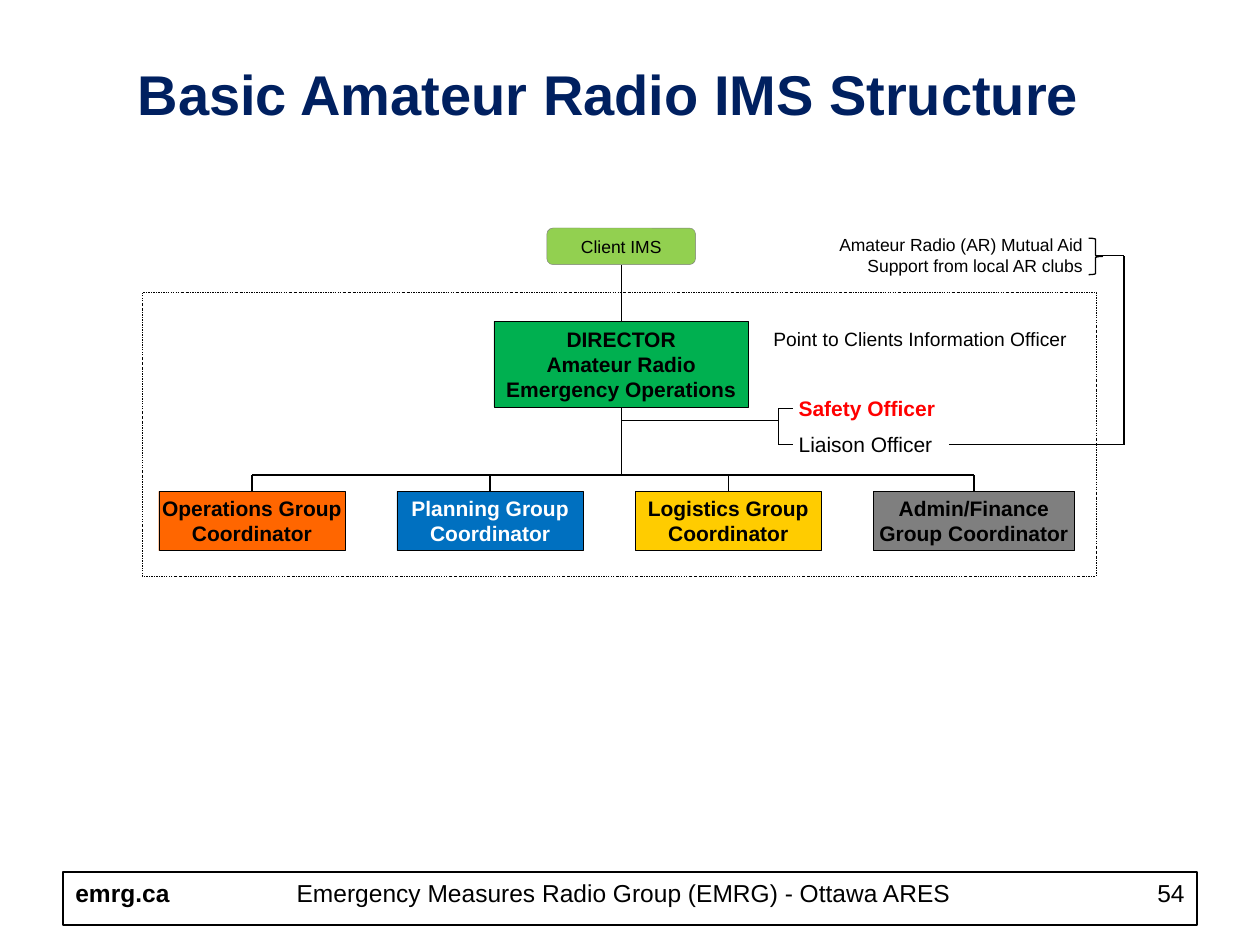
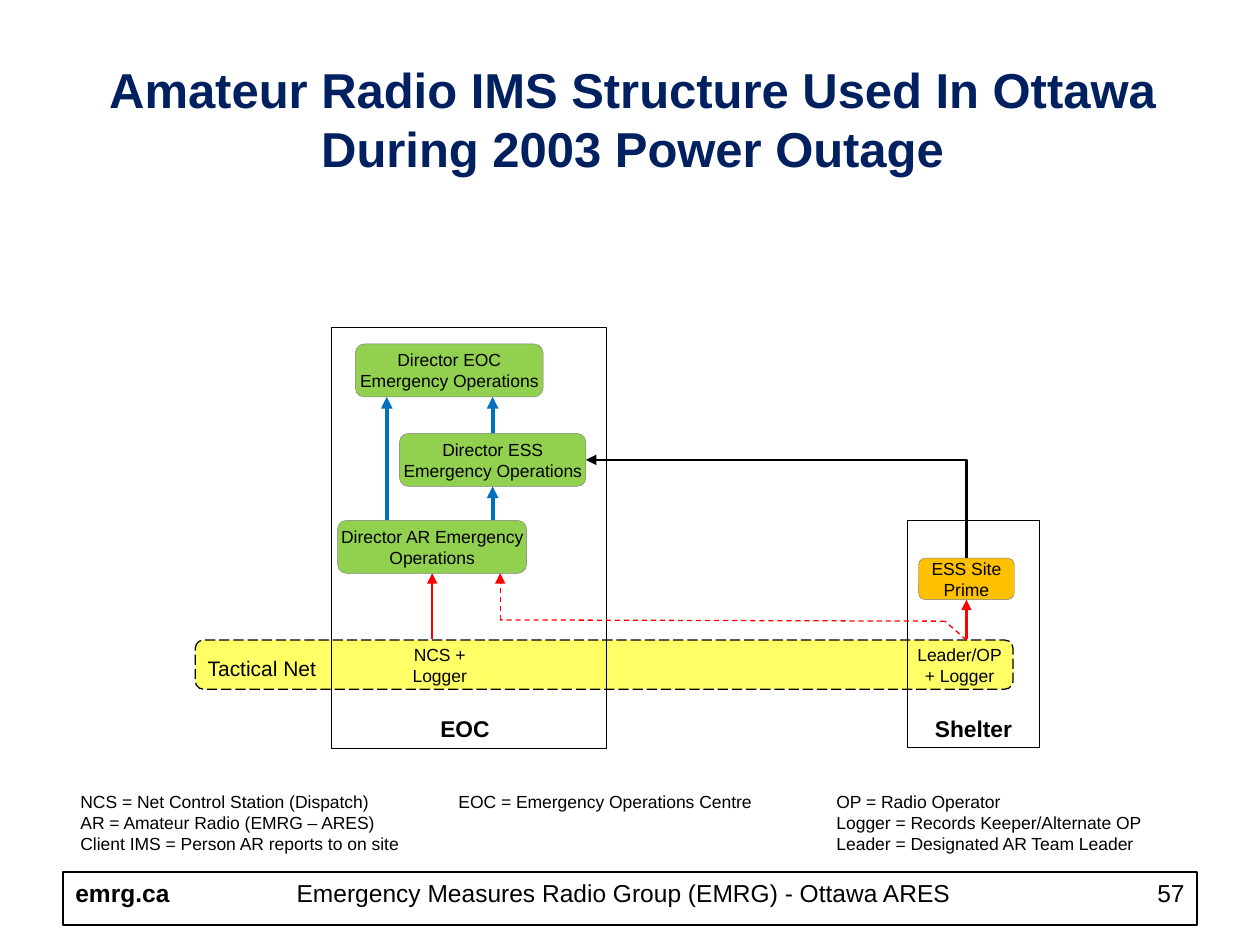
from dataclasses import dataclass

from lxml.etree import SubElement
from pptx import Presentation
from pptx.dml.color import RGBColor as Rgb
from pptx.enum.dml import MSO_LINE as Dash
from pptx.enum.shapes import MSO_CONNECTOR as Link, MSO_SHAPE as Shape
from pptx.enum.text import MSO_ANCHOR as Anchor, MSO_AUTO_SIZE as AutoSize, PP_ALIGN as Align
from pptx.oxml.ns import qn
from pptx.util import Inches, Pt


@dataclass(frozen=True)
class Theme:
    font: str = "Arial"
    black: str = "000000"
    white: str = "FFFFFF"
    navy: str = "002060"
    red: str = "FF0000"
    blue: str = "0070C0"
    grey: str = "7F7F7F"
    orange: str = "FF6600"
    yellow: str = "FFCC00"
    green: str = "00B050"
    lime: str = "92D050"
    amber: str = "FFC000"
    net: str = "FFFF66"
    small: int = 10
    note: int = 11
    body: int = 12
    place: int = 13
    footer: int = 14
    long_title: int = 28
    title: int = 32


theme = Theme()
prs = Presentation()
prs.slide_width, prs.slide_height = Inches(10), Inches(7.5)

# Grid of 100 columns by 75 rows
COL, ROW = prs.slide_width / 100, prs.slide_height / 75


def box(slide, at, lines=(), kind=None, fill=None, edge=theme.black, width=0.25, dash=None,
        size=theme.small, color=theme.black, bold=False, align=Align.CENTER, pad=0.0):
    """Place a shape, or a text box when no kind is given, on the grid."""
    x, y, w, h = at
    place = (round(x * COL), round(y * ROW), round(w * COL), round(h * ROW))
    if kind is None:
        item = slide.shapes.add_textbox(*place)
    else:
        item = slide.shapes.add_shape(kind, *place)
        item.shadow.inherit = False
        item.line.color.rgb = Rgb.from_string(edge)
        item.line.width = Pt(width)
        if dash:
            item.line.dash_style = dash
        if fill:
            item.fill.solid()
            item.fill.fore_color.rgb = Rgb.from_string(fill)
        else:
            item.fill.background()
    frame = item.text_frame
    frame.word_wrap = True
    frame.margin_left = frame.margin_right = Inches(pad)
    frame.margin_top = frame.margin_bottom = Inches(0.05 if kind is None else 0)
    if lines:
        frame.text = "\n".join(lines)
        for paragraph in frame.paragraphs:
            paragraph.alignment = align
            paragraph.font.name = theme.font
            paragraph.font.size = Pt(size)
            paragraph.font.bold = bold
            paragraph.font.color.rgb = Rgb.from_string(color)
    return item


def link(slide, start, end, color=theme.black, width=0.75, dash=None, arrow=None,
         kind=Link.STRAIGHT):
    """Draw a connector between two grid points; arrow is headEnd or tailEnd."""
    line = slide.shapes.add_connector(kind, round(start[0] * COL), round(start[1] * ROW),
                                      round(end[0] * COL), round(end[1] * ROW))
    line.line.color.rgb = Rgb.from_string(color)
    line.line.width = Pt(width)
    if dash:
        line.line.dash_style = dash
    properties = line._element.spPr
    if arrow:
        SubElement(properties.find(qn("a:ln")), qn(f"a:{arrow}"), type="triangle")
    SubElement(properties, qn("a:effectLst"))
    return line


# Shared title and footer
pages = []
for heading, title_width, title_height, title_size, number in (
    ("Basic Amateur Radio IMS Structure", 85.8, 6.4, theme.title, "54"),
    ("Amateur Radio IMS Structure Used In Ottawa During 2003 Power Outage",
     89.6, 10.4, theme.long_title, "57"),
):
    page = prs.slides.add_slide(prs.slide_layouts[5])
    title = page.shapes.title
    title.left, title.top = round(5.4 * COL), round(4.2 * ROW)
    title.width, title.height = round(title_width * COL), round(title_height * ROW)
    title.text_frame.text = heading
    title.text_frame.auto_size = AutoSize.NONE
    title.text_frame.vertical_anchor = Anchor.TOP
    paragraph = title.text_frame.paragraphs[0]
    paragraph.alignment = Align.CENTER
    paragraph.font.name = theme.font
    paragraph.font.size = Pt(title_size)
    paragraph.font.bold = True
    paragraph.font.color.rgb = Rgb.from_string(theme.navy)

    box(page, (5, 69.2, 90, 4.2), kind=Shape.RECTANGLE, width=1)
    for x, w, words, align, bold in (
        (5, 11, "emrg.ca", Align.LEFT, True),
        (16.5, 66, "Emergency Measures Radio Group (EMRG) - Ottawa ARES", Align.CENTER, False),
        (83.1, 11.9, number, Align.RIGHT, False),
    ):
        box(page, (x, 69.2, w, 4.2), [words], size=theme.footer, bold=bold, align=align, pad=0.1)
    pages.append(page)
structure, outage = pages

# Slide 1: command level
box(structure, (11.3, 23.2, 75.7, 22.5), kind=Shape.RECTANGLE, dash=Dash.DASH_DOT)
client = box(structure, (43.4, 18.1, 11.8, 2.9), ["Client IMS"], Shape.ROUNDED_RECTANGLE,
             theme.lime, theme.grey)
director = box(structure, (39.2, 25.5, 20.2, 6.8),
               ["DIRECTOR", "Amateur Radio", "Emergency Operations"],
               Shape.RECTANGLE, theme.green, size=theme.body, bold=True)
to_client = link(structure, (49.3, 25.5), (49.3, 21))
to_client.begin_connect(director, 0)
to_client.end_connect(client, 2)

# Group coordinators under one bus line
BUS = 37.7
link(structure, (20, BUS), (77.3, BUS))
link(structure, (49.3, BUS), (49.3, 32.3)).end_connect(director, 2)
for i, (group, fill, color, w) in enumerate((
    ("Operations Group Coordinator", theme.orange, theme.black, 14.8),
    ("Planning Group Coordinator", theme.blue, theme.white, 14.8),
    ("Logistics Group Coordinator", theme.yellow, theme.black, 14.8),
    ("Admin/Finance Group Coordinator", theme.grey, theme.black, 16),
)):
    left = 12.6 + 18.9 * i
    coordinator = box(structure, (left, 39, w, 4.7), [group], Shape.RECTANGLE, fill,
                      size=theme.body, color=color, bold=True)
    middle = left + w / 2
    link(structure, (middle, 39), (middle, BUS)).begin_connect(coordinator, 0)

# Officers and mutual aid
box(structure, (60.4, 25.5, 25.3, 2.9), ["Point to Clients Information Officer"],
    size=theme.note, align=Align.LEFT, pad=0.1)
officers = box(structure, (62.4, 30.9, 15, 5.9), ["Safety Officer", "Liaison Officer"],
               size=theme.body, align=Align.LEFT, pad=0.1)
safety, liaison = officers.text_frame.paragraphs
safety.font.bold = True
safety.font.color.rgb = Rgb.from_string(theme.red)
liaison.space_before = Pt(6)
box(structure, (65.3, 18.1, 21.6, 4.4),
    ["Amateur Radio (AR) Mutual Aid", "Support from local AR clubs"], align=Align.RIGHT, pad=0.1)
box(structure, (86.4, 18.9, 1.1, 2.9), kind=Shape.RIGHT_BRACE, width=0.75)
for start, end in (
    ((49.3, 33.4), (61.8, 33.4)),
    ((61.8, 35.3), (61.8, 32.4)),
    ((61.8, 32.4), (62.9, 32.4)),
    ((61.8, 35.3), (62.9, 35.3)),
    ((75.3, 35.3), (89.2, 35.3)),
    ((89.2, 35.3), (89.2, 20.3)),
    ((89.2, 20.3), (86.9, 20.3)),
):
    link(structure, start, end)

# Slide 2: tactical net across both places
box(outage, (15.5, 50.8, 64.9, 3.9), kind=Shape.ROUNDED_RECTANGLE, fill=theme.net,
    width=0.75, dash=Dash.LONG_DASH)
box(outage, (15.5, 51.5, 10.7, 3), ["Tactical Net"], size=theme.body, align=Align.LEFT, pad=0.1)
box(outage, (30.7, 50.6, 8.4, 4), ["NCS +\vLogger"])
box(outage, (72, 50.6, 8.3, 4), ["Leader/OP\v+ Logger"])
for place, label_x, label_w, frame_at in (
    ("EOC", 32.1, 9.6, (26.3, 26, 21.8, 33.4)),
    ("Shelter", 72, 10.5, (72, 41.3, 10.5, 18)),
):
    box(outage, frame_at, kind=Shape.RECTANGLE, width=0.5)
    box(outage, (label_x, 56.2, label_w, 3.2), [place], size=theme.place, bold=True)

# Directors and the shelter prime
eoc, ess, radio, prime = (
    box(outage, at, [role], Shape.ROUNDED_RECTANGLE, fill, theme.grey)
    for role, at, fill in (
        ("Director EOC Emergency Operations", (28.2, 27.3, 14.9, 4.2), theme.lime),
        ("Director ESS Emergency Operations", (31.7, 34.4, 14.8, 4.2), theme.lime),
        ("Director AR Emergency Operations", (26.8, 41.3, 15, 4.2), theme.lime),
        ("ESS Site Prime", (72.9, 44.3, 7.6, 3.3), theme.amber),
    )
)

# Reporting arrows
up = {"color": theme.blue, "width": 2.25, "arrow": "tailEnd"}
link(outage, (30.7, 41.3), (30.7, 31.5), **up)
link(outage, (39.1, 34.4), (39.1, 31.5), **up).begin_connect(ess, 0)
link(outage, (39.1, 41.3), (39.1, 38.6), **up).end_connect(ess, 2)
for x, y, report_to in ((34.3, 45.5, radio), (76.7, 47.6, prime)):
    link(outage, (x, 50.7), (x, y), theme.red, 1.5, arrow="tailEnd").end_connect(report_to, 2)

to_ess = link(outage, (46.5, 36.5), (76.7, 44.3), width=1.5, arrow="headEnd", kind=Link.ELBOW)
to_ess._element.spPr.find(qn("a:prstGeom")).set("prst", "bentConnector2")
to_ess.begin_connect(ess, 3)
to_ess.end_connect(prime, 0)

route = ((76.7, 50.8), (75, 49.3), (39.7, 49.2), (39.7, 45.5))
for start, end in zip(route, route[1:]):
    link(outage, start, end, theme.red, dash=Dash.DASH,
         arrow="tailEnd" if end == route[-1] else None)

# Abbreviations in three tabbed columns
legend = box(outage, (5.4, 62.3, 89.6, 6), pad=0.1)
legend.text_frame.text = "\n".join((
    "NCS = Net Control Station (Dispatch)\tEOC = Emergency Operations Centre\tOP = Radio Operator",
    "AR = Amateur Radio (EMRG – ARES)\t\tLogger = Records Keeper/Alternate OP",
    "Client IMS = Person AR reports to on site\t\tLeader = Designated AR Team Leader",
))
for paragraph in legend.text_frame.paragraphs:
    stops = SubElement(paragraph._p.get_or_add_pPr(), qn("a:tabLst"))
    for column in (1, 2):
        SubElement(stops, qn("a:tab"), pos=str(round(30 * column * COL)), algn="l")
    paragraph.font.name = theme.font
    paragraph.font.size = Pt(theme.small)
    paragraph.font.color.rgb = Rgb.from_string(theme.black)

prs.save("out.pptx")
